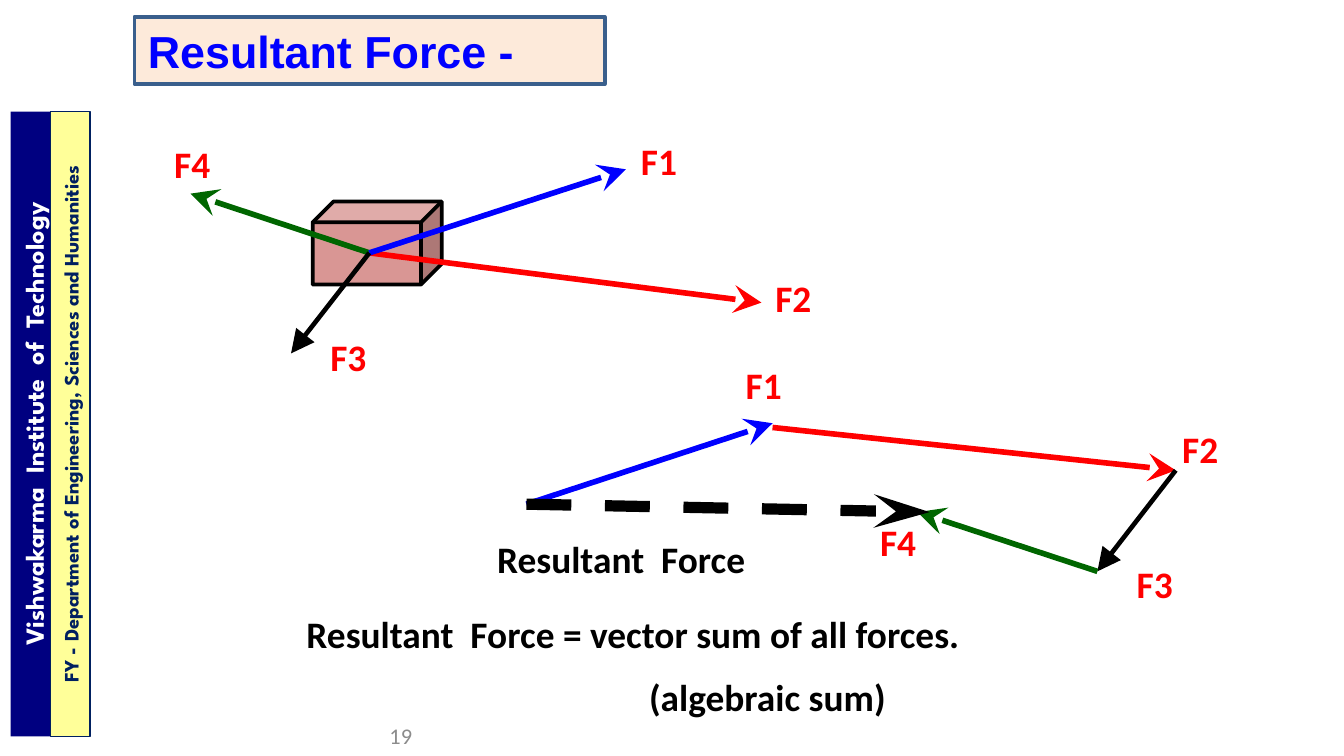
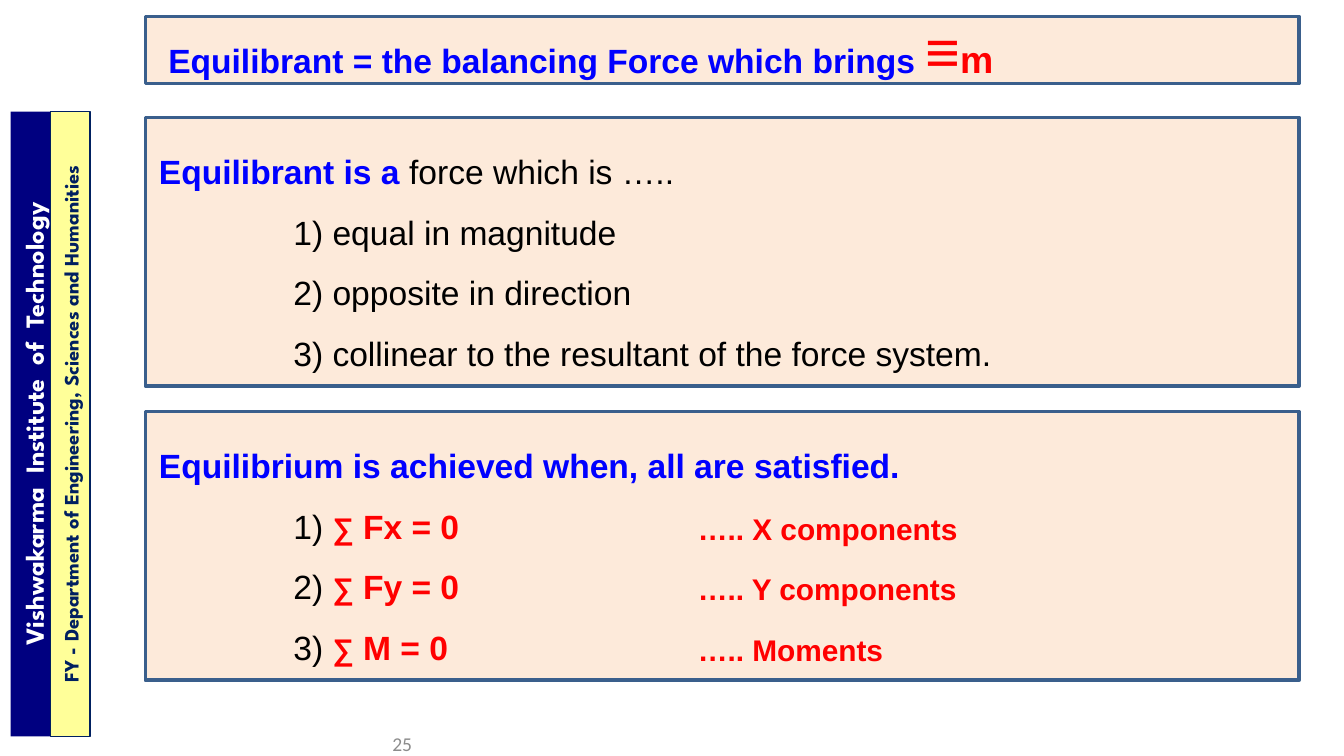
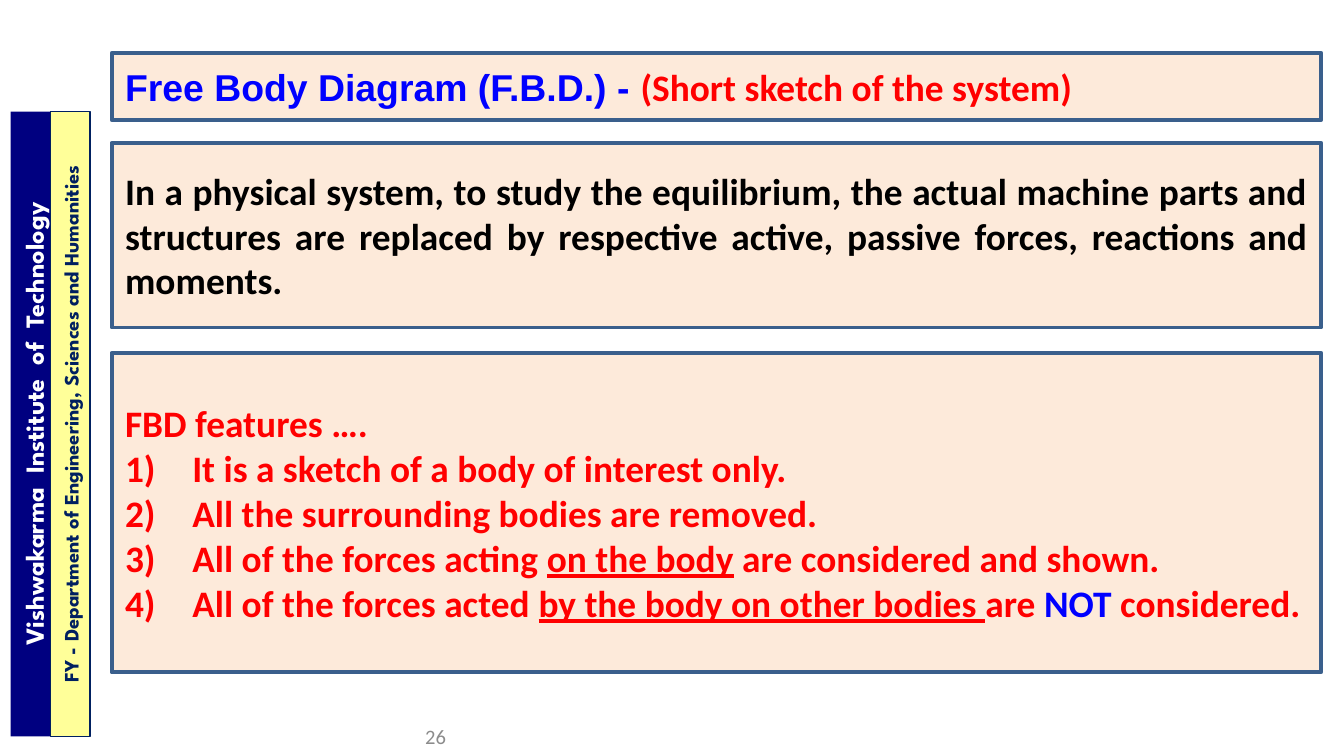
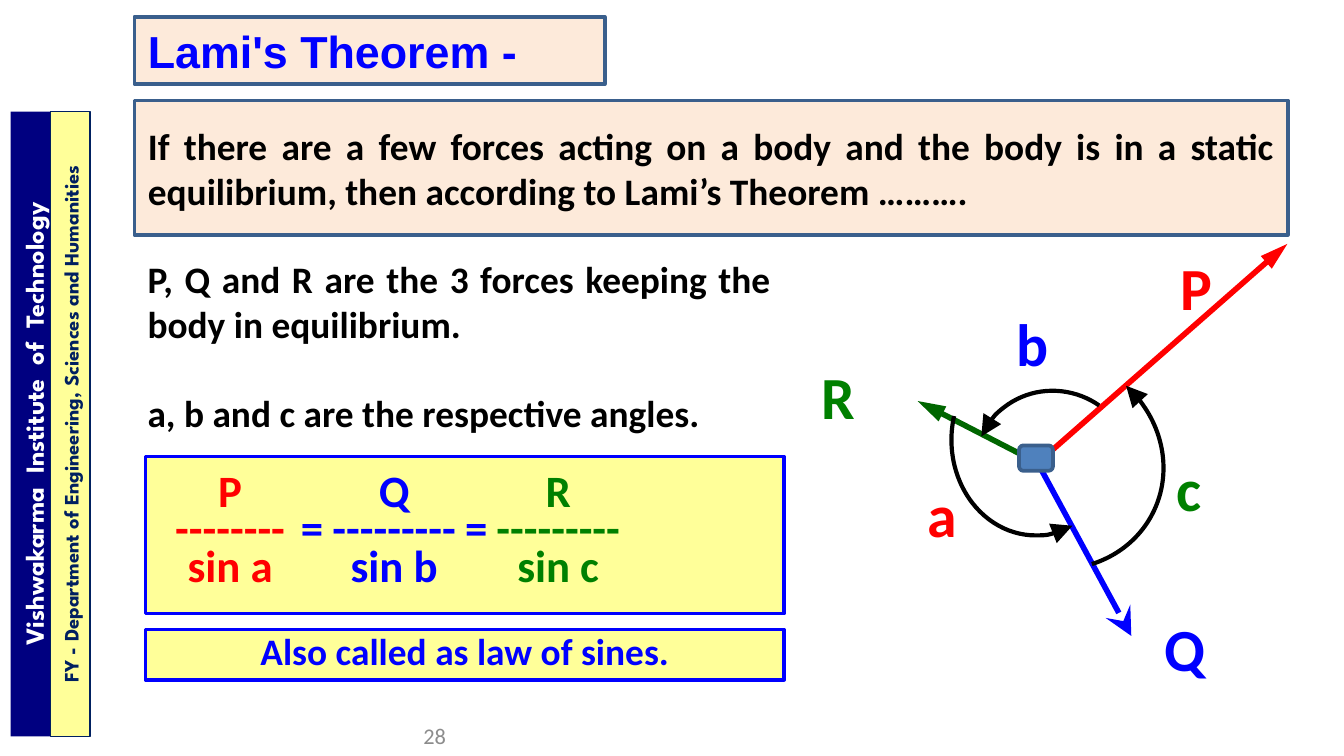
from dataclasses import dataclass

from lxml import etree
from pptx import Presentation
from pptx.dml.color import RGBColor
from pptx.enum.dml import MSO_LINE
from pptx.enum.shapes import MSO_CONNECTOR, MSO_SHAPE
from pptx.enum.text import MSO_ANCHOR, MSO_AUTO_SIZE, PP_ALIGN
from pptx.oxml.ns import qn
from pptx.util import Cm, Pt

LEFT, CENTER, RIGHT, JUSTIFY = (
    PP_ALIGN.LEFT, PP_ALIGN.CENTER, PP_ALIGN.RIGHT, PP_ALIGN.JUSTIFY)
TOP, MIDDLE = MSO_ANCHOR.TOP, MSO_ANCHOR.MIDDLE
RECT, CUBE, ARC, ROUNDED = (
    MSO_SHAPE.RECTANGLE, MSO_SHAPE.CUBE, MSO_SHAPE.ARC,
    MSO_SHAPE.ROUNDED_RECTANGLE)
STRAIGHT, DASH, NO_AUTOFIT = (
    MSO_CONNECTOR.STRAIGHT, MSO_LINE.DASH, MSO_AUTO_SIZE.NONE)
TITLE_CONTENT, TWO_CONTENT, TITLE_ONLY = 1, 3, 5


@dataclass(frozen=True)
class Theme:
    heading: str = "Arial"
    text: str = "Calibri"
    side: str = "League Spartan"
    black: str = "000000"
    white: str = "FFFFFF"
    blue: str = "0000FF"
    red: str = "FF0000"
    green: str = "008000"
    dark_green: str = "006600"
    grey: str = "8C8C8C"
    peach: str = "FDEADA"
    yellow: str = "FFFF99"
    border: str = "3A5F8C"
    navy: str = "000080"
    dark_navy: str = "002060"
    cube: str = "D99694"
    body: str = "4F81BD"
    symbol_size: float = 32
    title_size: float = 24
    text_size: float = 20
    list_size: float = 18
    note_size: float = 16


@dataclass(frozen=True)
class Box:
    """An area in centimetres."""
    x: float
    y: float
    w: float
    h: float

    def inner(self, dx, dy, w, h):
        return Box(self.x + dx, self.y + dy, w, h)

    def point(self, dx, dy):
        return Cm(self.x + dx), Cm(self.y + dy)

    def lengths(self):
        return [Cm(v) for v in (self.x, self.y, self.w, self.h)]


T = Theme()


def font(name, size, color, bold=True):
    return {"name": name, "size": Pt(size), "color": color, "bold": bold}


TITLE = font(T.heading, T.title_size, T.blue)
HEADING = font(T.heading, T.list_size, T.blue)
PLAIN = {"color": T.black, "bold": False}
TEXT = font(T.text, T.text_size, T.black)
RED_TEXT = font(T.text, T.text_size, T.red)
UNDERLINED = {"underline": True}
SMALL_TITLE = Box(2.54, 0.32, 8.89, 1.27)


def add_paragraph(tf, runs, base, bullet=None, left=0, hang=0, **fmt):
    """Add one paragraph; runs is a text or a list of (text, font changes)."""
    p = tf.paragraphs[0] if not tf.paragraphs[0].runs else tf.add_paragraph()
    pPr = p._p.get_or_add_pPr()
    pPr.set("marL", str(Cm(left)))
    pPr.set("indent", str(-Cm(hang)))
    if bullet:
        etree.SubElement(pPr, qn("a:buFont"), typeface=base["name"])
        etree.SubElement(pPr, qn("a:buAutoNum"), type=bullet)
    else:
        etree.SubElement(pPr, qn("a:buNone"))
    for key, value in {"space_before": Pt(0), **fmt}.items():
        setattr(p, key, value)
    for text, changes in [(runs, {})] if isinstance(runs, str) else runs:
        r = p.add_run()
        r.text = text
        for key, value in {**base, **changes}.items():
            if key == "color":
                r.font.color.rgb = RGBColor.from_string(value)
            else:
                setattr(r.font, key, value)


def set_frame(sp, anchor=MIDDLE):
    tf = sp.text_frame
    for key, value in {"word_wrap": True, "auto_size": NO_AUTOFIT,
                       "vertical_anchor": anchor}.items():
        setattr(tf, key, value)
    return tf


def paint(sp, fill=None, line=None, width=2):
    if fill:
        sp.fill.solid()
        sp.fill.fore_color.rgb = RGBColor.from_string(fill)
    else:
        sp.fill.background()
    if line:
        sp.line.color.rgb = RGBColor.from_string(line)
        sp.line.width = Pt(width)
    else:
        sp.line.fill.background()


def add_figure(s, kind, box, *colors):
    sp = s.shapes.add_shape(kind, *box.lengths())
    sp.shadow.inherit = False
    paint(sp, *colors)
    return sp


def panel(s, idx, box):
    """Turn a placeholder into a framed peach panel and give its text frame."""
    sp = s.placeholders[idx]
    sp.left, sp.top, sp.width, sp.height = box.lengths()
    paint(sp, T.peach, T.border)
    return set_frame(sp)


def text_box(s, box, runs, base, anchor=TOP, **fmt):
    tf = set_frame(s.shapes.add_textbox(*box.lengths()), anchor)
    add_paragraph(tf, runs, base, **fmt)
    return tf


def label(s, box, at, text, size, color):
    text_box(s, box.inner(*at, 1.35, 1.27), text, font(T.text, size, color),
             alignment=CENTER, space_after=Pt(10))


def add_head(sp, end, kind, width="lg"):
    etree.SubElement(sp.line._get_or_add_ln(), qn(f"a:{end}"), type=kind,
                     w=width, len="lg")


def arrow(s, box, start, end, color, width=3, head="stealth", head_width="lg",
          dash=None):
    sp = s.shapes.add_connector(STRAIGHT, *box.point(*start), *box.point(*end))
    sp.line.color.rgb = RGBColor.from_string(color)
    sp.line.width = Pt(width)
    if dash:
        sp.line.dash_style = dash
    add_head(sp, "tailEnd", head, head_width)
    etree.SubElement(sp._element.spPr, qn("a:effectLst"))


def angle_arc(s, box, rotation, start, end):
    """Draw an arc between two angles in degrees, with its arrowhead at start."""
    sp = add_figure(s, ARC, box, None, T.black, 2.25)
    sp.rotation = rotation
    for i, degrees in enumerate((start, end)):
        sp.adjustments[i] = degrees * 0.6
    add_head(sp, "headEnd", "triangle")


def side_bands(s, box):
    bands = [
        (0, 0.86, "Vishwakarma  Institute  of  Technology", 14,
         T.white, (T.navy,)),
        (0.76, 0.74, "FY - Department of Engineering, Sciences and Humanities", 11,
         T.dark_navy, (T.yellow, T.dark_navy, 0.75)),
    ]
    for dx, thick, text, size, color, colors in bands:
        upright = box.inner(dx + (thick - box.h) / 2, (box.h - thick) / 2,
                            box.h, thick)
        sp = add_figure(s, RECT, upright, *colors)
        sp.rotation = 270
        tf = set_frame(sp)
        tf.margin_top = tf.margin_bottom = 0
        add_paragraph(tf, text, font(T.side, size, color), alignment=CENTER)


def new_slide(prs, layout, number, number_at, number_size):
    s = prs.slides.add_slide(prs.slide_layouts[layout])
    side_bands(s, Box(0.2, 2.11, 1.5, 11.81))
    text_box(s, Box(*number_at, 5.5, 0.76), number,
             font(T.text, number_size, T.grey, False), MIDDLE, alignment=RIGHT)
    return s


def concurrent_forces(s, box):
    add_figure(s, CUBE, box.inner(2.95, 1.32, 2.44, 1.57), T.cube, T.black)
    forces = [
        ("F2", (11.43, 3.23), (11.36, 2.59), (T.red,)),
        ("F4", (0.64, 1.17), (0, 0.05), (T.dark_green,)),
        ("F1", (8.87, 0.71), (8.82, 0), (T.blue,)),
        ("F3", (2.54, 4.19), (2.95, 3.7), (T.black, 2.5, "triangle")),
    ]
    for name, tip, label_at, style in forces:
        arrow(s, box, (4.02, 2.29), tip, *style)
        label(s, box, label_at, name, T.text_size, T.red)


def force_polygon(s, box):
    start = (2.34, 2.8)
    forces = [
        ("F1", start, (6.99, 1.27), (6.15, 0), (T.blue,)),
        ("F2", (6.99, 1.35), (14.61, 2.16), (14.4, 1.21), (T.red,)),
        ("F3", (14.61, 2.16), (13.13, 4.07), (13.54, 3.75),
         (T.black, 2.5, "triangle")),
        ("F4", (13.13, 4.07), (9.73, 2.95), (8.69, 2.95), (T.dark_green,)),
    ]
    for name, tail, tip, label_at, style in forces:
        arrow(s, box, tail, tip, *style)
        label(s, box, label_at, name, T.text_size, T.red)
    arrow(s, box, start, (9.96, 2.95), T.black, 6, head_width="med", dash=DASH)
    text_box(s, box.inner(0, 3.28, 8.26, 1.27), "Resultant  Force", TEXT,
             alignment=CENTER, space_after=Pt(10))


def resultant_slide(prs):
    s = new_slide(prs, TITLE_ONLY, "19", (2.54, 13.53), 12)
    add_paragraph(panel(s, 0, SMALL_TITLE), "Resultant Force -", TITLE,
                  alignment=LEFT)
    concurrent_forces(s, Box(2.96, 2.49, 12.7, 4.95))
    force_polygon(s, Box(7.61, 6.73, 15.75, 5))
    fmt = {"alignment": CENTER, "space_after": Pt(10)}
    tf = text_box(s, Box(2.54, 11.42, 18.85, 2.24),
                  "Resultant  Force = vector sum of all forces.", TEXT, **fmt)
    add_paragraph(tf, "(algebraic sum)", TEXT, left=5.08, **fmt)


def equilibrium_conditions(s, box):
    fmt = {"alignment": JUSTIFY, "line_spacing": 1.5}
    tf = panel(s, 2, box)
    add_paragraph(tf, "Equilibrium is achieved when, all are satisfied.",
                  HEADING, **fmt)
    small = {"size": Pt(T.note_size)}
    conditions = [("Fx", "X components"), ("Fy", "Y components"), ("M", "Moments")]
    for i, (total, note) in enumerate(conditions):
        add_paragraph(tf, [(f"{i + 1}) ", PLAIN), ("∑", small),
                           (f" {total} = 0", {})],
                      {**HEADING, "color": T.red}, left=2.54, **fmt)
        text_box(s, box.inner(10.19, 1.64 + 1.14 * i, 8, 1.14), f"….. {note}",
                 font(T.heading, T.note_size, T.red), MIDDLE)


def equilibrant_slide(prs):
    s = new_slide(prs, TWO_CONTENT, "25", (2.54, 13.67), 10.5)
    box = Box(2.75, 0.31, 21.8, 1.27)
    add_paragraph(panel(s, 0, box), [
        (" Equilibrant = the balancing Force which brings ", {}),
        ("≡", {"size": Pt(T.symbol_size), "color": T.red}),
        ("m", {"size": Pt(T.text_size), "color": T.red}),
    ], HEADING, alignment=LEFT)

    fmt = {"alignment": JUSTIFY, "line_spacing": 1.5}
    tf = panel(s, 1, box.inner(0, 1.91, box.w, 5.08))
    add_paragraph(tf, [("Equilibrant is a ", {}), ("force which is …..", PLAIN)],
                  HEADING, **fmt)
    for item in ("1) equal in magnitude", "2) opposite in direction",
                 "3) collinear to the resultant of the force system."):
        add_paragraph(tf, item, {**HEADING, **PLAIN}, left=2.54, **fmt)
    equilibrium_conditions(s, box.inner(0, 7.47, box.w, 5.08))


def free_body_slide(prs):
    s = new_slide(prs, TWO_CONTENT, "26", (3.18, 13.53), 11)
    box = Box(2.11, 1, 22.86, 1.27)
    add_paragraph(panel(s, 0, box), [
        ("Free Body Diagram (F.B.D.) - ", {"name": T.heading, "color": T.blue}),
        ("(Short sketch of the system)", {}),
    ], RED_TEXT, alignment=LEFT)
    add_paragraph(
        panel(s, 1, box.inner(0, 1.7, box.w, 3.49)),
        "In a physical system, to study the equilibrium, the actual machine parts "
        "and structures are replaced by respective active, passive forces, "
        "reactions and moments.", TEXT, alignment=JUSTIFY)

    tf = panel(s, 2, box.inner(0, 5.67, box.w, 6.04))
    add_paragraph(tf, "FBD features ….", RED_TEXT, alignment=JUSTIFY)
    features = [
        "It is a sketch of a body of interest only.",
        "All the surrounding bodies are removed.",
        [("All of the forces acting ", {}), ("on the body", UNDERLINED),
         (" are considered and shown.", {})],
        [("All of the forces acted ", {}),
         ("by the body on other bodies ", UNDERLINED), ("are ", {}),
         ("NOT", {"color": T.blue}), (" considered.", {})],
    ]
    for feature in features:
        add_paragraph(tf, feature, RED_TEXT, bullet="arabicParenR", left=1.27,
                      hang=1.27, alignment=JUSTIFY)


def sine_rule(s, box):
    """Write three equal fractions in evenly spaced columns, and their name."""
    frame = box.inner(0, 0, box.w, 2.97)
    add_figure(s, RECT, frame, T.yellow, T.blue)
    fmt = {"alignment": CENTER, "line_spacing": Pt(20)}
    columns = [
        (T.red, "P", "--------", "sin a"), (T.blue, "="),
        (T.blue, "Q", "---------", "sin b"), (T.blue, "="),
        (T.green, "R", "---------", "sin c"),
    ]
    for i, (color, first, *rest) in enumerate(columns):
        base = font(T.text, T.title_size, color)
        column = frame.inner(0.1 + 1.55 * i, 0, 3, frame.h)
        tf = text_box(s, column, first, base, MIDDLE, **fmt)
        for line in rest:
            add_paragraph(tf, line, base, **fmt)
    name = add_figure(s, RECT, box.inner(0, 3.27, box.w, 0.95), T.yellow, T.blue)
    add_paragraph(set_frame(name), "Also called as law of sines.",
                  font(T.text, T.text_size, T.blue), **fmt)


def lami_diagram(s, box):
    center = (4.45, 4.14)
    arrow(s, box, center, (6.22, 7.41), T.blue)
    for tip, color in (((9.17, 0), T.red), ((2.18, 2.97), T.dark_green)):
        arrow(s, box, center, tip, color, head="triangle", head_width="med")
    arcs = [
        ((2.54, 2.11, 4.32, 4.01), 26.8, 288.01, 41.38),
        ((3.3, 2.74, 2.92, 3), 291.2, 272.46, 14.52),
        ((2.82, 1.9, 3.18, 3.61), 180, 246.78, 16.33),
    ]
    for area, rotation, start, end in arcs:
        angle_arc(s, box.inner(*area), rotation, start, end)
    labels = [
        ("P", (6.78, 0), T.red), ("Q", (6.56, 6.83), T.blue),
        ("R", (0, 2.06), T.green), ("a", (1.98, 4.29), T.red),
        ("b", (3.68, 1.07), T.blue), ("c", (6.63, 3.81), T.green),
    ]
    for name, at, color in labels:
        label(s, box, at, name, T.symbol_size, color)
    add_figure(s, ROUNDED, box.inner(4.1, 3.81, 0.64, 0.48), T.body, T.border)


def lami_slide(prs):
    s = new_slide(prs, TITLE_CONTENT, "28", (3.18, 13.53), 12)
    add_paragraph(panel(s, 0, SMALL_TITLE), "Lami's Theorem -", TITLE,
                  alignment=LEFT)
    add_paragraph(
        panel(s, 1, Box(2.54, 1.9, 21.8, 2.54)),
        "If there are a few forces acting on a body and the body is in a static "
        "equilibrium, then according to Lami’s Theorem ……….",
        TEXT, alignment=JUSTIFY)
    tf = text_box(s, Box(2.54, 4.39, 12.28, 4.29),
                  "P, Q and R are the 3 forces keeping the body in equilibrium.",
                  TEXT, MIDDLE, alignment=JUSTIFY)
    add_paragraph(tf, "a, b and c are the respective angles.", TEXT,
                  alignment=JUSTIFY, space_before=Pt(24))
    sine_rule(s, Box(2.75, 8.63, 12.07, 4.22))
    lami_diagram(s, Box(15.16, 4.61, 9.17, 8.1))


def main():
    prs = Presentation()
    prs.slide_width, prs.slide_height = Cm(25.4), Cm(14.29)
    for build in (resultant_slide, equilibrant_slide, free_body_slide, lami_slide):
        build(prs)
    prs.save("out.pptx")


if __name__ == "__main__":
    main()
